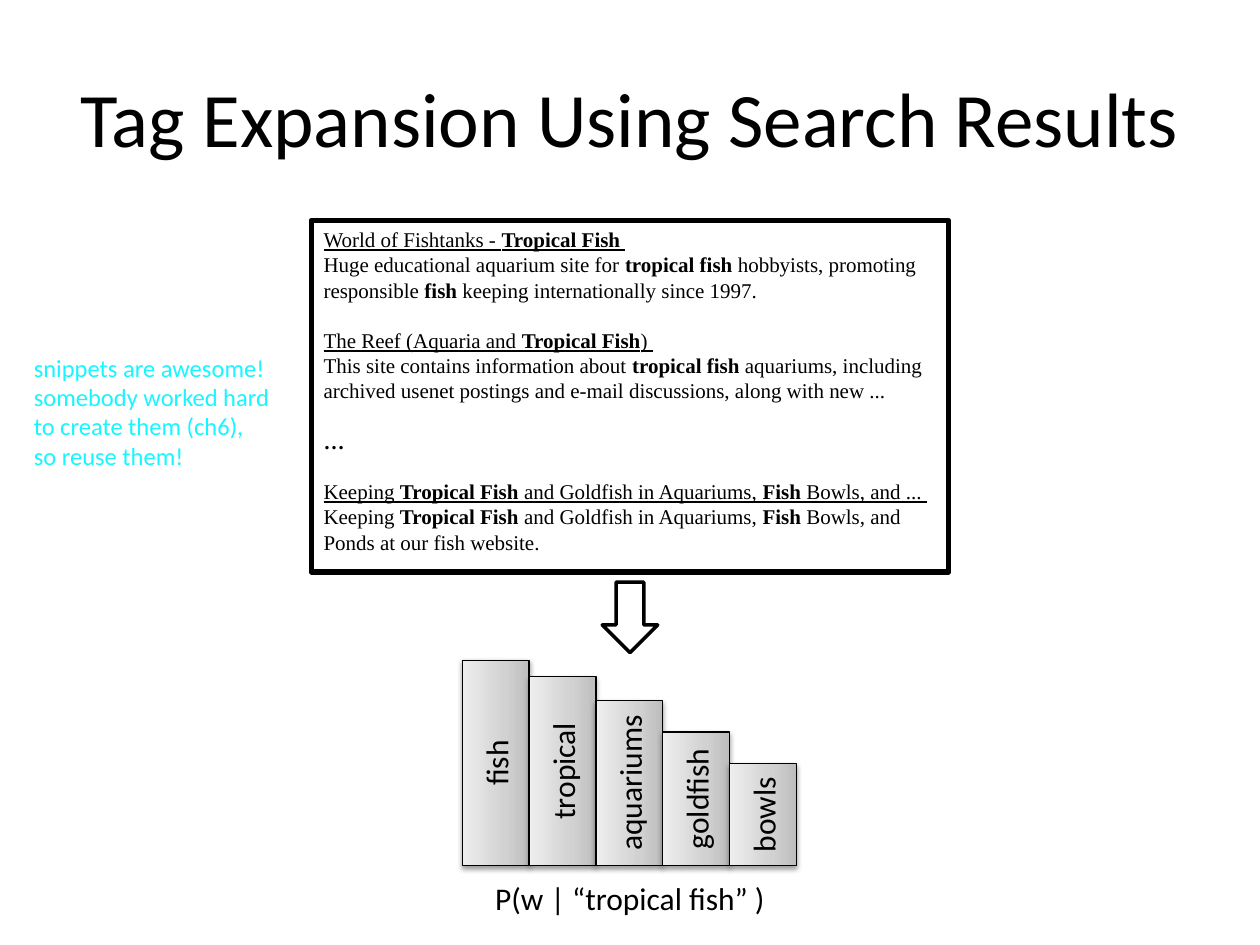
from lxml import etree
from pptx import Presentation, util as u
from pptx.dml.color import RGBColor
from pptx.enum import shapes, text
from pptx.oxml import ns

BLACK = "000000"
TITLE = "Tag Expansion Using Search Results"
SNIPPETS = [
    (True, [("World of Fishtanks - ", False), ("Tropical Fish ", True)]),
    (False, [("Huge educational aquarium site for ", False), ("tropical fish ", True),
             ("hobbyists, promoting responsible ", False), ("fish", True),
             (" keeping internationally since 1997.", False)]),
    (True, [("The Reef (Aquaria and ", False), ("Tropical Fish", True), (") ", False)]),
    (False, [("This site contains information about ", False), ("tropical fish ", True),
             ("aquariums, including archived usenet postings and e-mail discussions, "
              "along with new ...", False)]),
    (False, [("…", True)]),
    (True, [("Keeping ", False), ("Tropical Fish ", True),
            ("and Goldfish in Aquariums, ", False), ("Fish", True),
            (" Bowls, and ... ", False)]),
    (False, [("Keeping ", False), ("Tropical Fish ", True),
             ("and Goldfish in Aquariums, ", False), ("Fish", True),
             (" Bowls, and Ponds at our fish website.", False)]),
]
GAP_BEFORE = (2, 4, 5)
BARS = [("fish", 1.63), ("tropical", 1.5), ("aquariums", 1.31), ("goldfish", 1.06), ("bowls", 0.81)]
BAR_LEFT, BAR_BOTTOM, BAR_WIDTH = 3.67, 6.87, 0.53
GRADIENT = [(0, "BDBDBD"), (35, "D1D1D1"), (100, "EEEEEE")]
CAPTION = "P(w | “tropical fish” )"
REMARK = ["snippets are awesome!", "somebody worked hard", "to create them (ch6),", "so reuse them!"]


def color(value):
    return RGBColor.from_string(value)


def apply(target, values):
    for name, value in values.items():
        setattr(target, name, value)


def format_font(font, size, name="Calibri", fill=BLACK, **values):
    apply(font, {"size": u.Pt(size), "name": name, **values})
    font.color.rgb = color(fill)


def write_lines(shape, lines, size, align, fill=BLACK):
    for index, line in enumerate(lines):
        frame = shape.text_frame
        paragraph = frame.add_paragraph() if index else frame.paragraphs[0]
        paragraph.text = line
        paragraph.alignment = align
        format_font(paragraph.font, size, fill=fill)


def add_outlined(slide, kind, box, width):
    shape = slide.shapes.add_shape(kind, *map(u.Inches, box))
    shape.shadow.inherit = False
    shape.line.color.rgb = color(BLACK)
    shape.line.width = u.Pt(width)
    return shape


def add_text(slide, box, wrap, *content):
    shape = slide.shapes.add_textbox(*map(u.Inches, box))
    shape.text_frame.word_wrap = wrap
    write_lines(shape, *content)


def add_element(parent, tag, **attributes):
    return etree.SubElement(parent, ns.qn(tag), attributes)


def add_color(parent, value):
    return add_element(parent, "a:srgbClr", val=value)


def add_snippets(slide):
    shape = add_outlined(slide, shapes.MSO_SHAPE.RECTANGLE, (2.47, 1.75, 5.06, 2.79), 3)
    shape.fill.background()
    frame = shape.text_frame
    apply(frame, {"word_wrap": True, "vertical_anchor": text.MSO_ANCHOR.TOP})
    for index, (underline, runs) in enumerate(SNIPPETS):
        paragraph = frame.add_paragraph() if index else frame.paragraphs[0]
        apply(paragraph, {"alignment": text.PP_ALIGN.LEFT, "line_spacing": u.Pt(14.4)})
        if index in GAP_BEFORE:
            paragraph.space_before = u.Pt(14.4)
        for words, bold in runs:
            run = paragraph.add_run()
            run.text = words
            format_font(run.font, 12, "Times New Roman", bold=bold, underline=underline)


def add_bar(slide, index, word, height):
    center_x = BAR_LEFT + BAR_WIDTH * (index + 0.5)
    center_y = BAR_BOTTOM - height / 2
    box = (center_x - height / 2, center_y - BAR_WIDTH / 2, height, BAR_WIDTH)
    shape = add_outlined(slide, shapes.MSO_SHAPE.RECTANGLE, box, 0.75)
    shape.rotation = 270
    shape.fill.gradient()
    shape.fill.gradient_angle = 90
    properties = shape.element.spPr
    stops = properties.find(".//" + ns.qn("a:gsLst"))
    for stop in list(stops):
        stops.remove(stop)
    for position, value in GRADIENT:
        add_color(add_element(stops, "a:gs", pos=str(position * 1000)), value)
    shadow = add_element(properties.find(ns.qn("a:effectLst")), "a:outerShdw",
                         blurRad=str(u.Pt(3.1)), dist=str(u.Pt(1.6)),
                         dir="5400000", rotWithShape="0")
    add_element(add_color(shadow, BLACK), "a:alpha", val="38000")
    apply(shape.text_frame, {"vertical_anchor": text.MSO_ANCHOR.MIDDLE, "word_wrap": True})
    write_lines(shape, [word], 18, text.PP_ALIGN.CENTER)


def main():
    presentation = Presentation()
    apply(presentation, {"slide_width": u.Inches(10), "slide_height": u.Inches(7.5)})
    slide = presentation.slides.add_slide(presentation.slide_layouts[5])

    title = slide.shapes.title
    apply(title, {"left": u.Inches(0.5), "top": u.Inches(0.3),
                  "width": u.Inches(9), "height": u.Inches(1.25)})
    title.text_frame.vertical_anchor = text.MSO_ANCHOR.MIDDLE
    write_lines(title, [TITLE], 44, text.PP_ALIGN.CENTER)

    add_snippets(slide)
    for index, (word, height) in enumerate(BARS):
        add_bar(slide, index, word, height)
    add_text(slide, (3.81, 6.93, 2.38, 0.4), True, [CAPTION], 18, text.PP_ALIGN.CENTER)

    arrow = add_outlined(slide, shapes.MSO_SHAPE.DOWN_ARROW, (4.78, 4.62, 0.44, 0.56), 2)
    arrow.fill.solid()
    arrow.fill.fore_color.rgb = color("FFFFFF")

    add_text(slide, (0.17, 2.75, 2.1, 1.04), False, REMARK, 14, text.PP_ALIGN.LEFT, "17F6FF")
    presentation.save("out.pptx")


if __name__ == "__main__":
    main()
